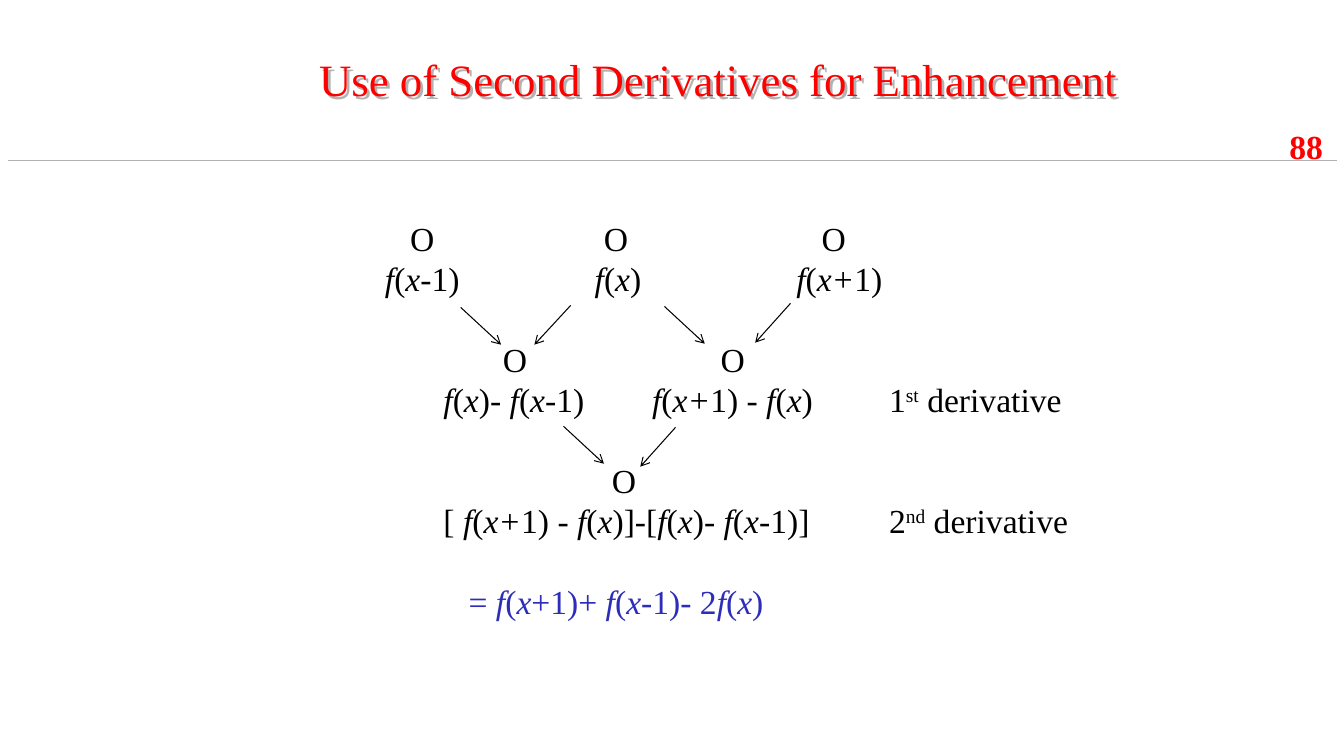
from lxml.etree import SubElement
from pptx import Presentation
from pptx.dml.color import RGBColor
from pptx.enum.shapes import MSO_CONNECTOR
from pptx.enum.text import MSO_ANCHOR as Anchor, MSO_AUTO_SIZE as AutoSize, PP_ALIGN as Align
from pptx.oxml.ns import qn
from pptx.util import Pt

PX = 9144
FONT = "Times New Roman"
RED = RGBColor(0xFF, 0x00, 0x00)
BLACK = RGBColor(0x00, 0x00, 0x00)
BLUE = RGBColor(0x2D, 0x2D, 0xB9)
GRAY = RGBColor(0xB2, 0xB2, 0xB2)

# Each row: text (*italic*, ^superscript^), tab stops, lines skipped above, colour
DERIVATION = [
    ("\tO\tO\tO", [25, 217, 433], 0, BLACK),
    ("*f*(*x*-1)\t*f*(*x*)\t*f*(*x+*1)", [208, 408], 0, BLACK),
    ("\tO\tO", [117, 333], 1, BLACK),
    ("\t*f*(*x*)-* f*(*x*-1)\t*f*(*x+*1) -* f*(*x*)\t1^st^ derivative", [58, 265, 500], 0, BLACK),
    ("\tO", [225], 1, BLACK),
    ("\t[* f*(*x+*1) -* f*(*x*)]-[*f*(*x*)-* f*(*x*-1)]\t2^nd^ derivative", [58, 500], 0, BLACK),
    ("\t=* f*(*x*+1)+* f*(*x*-1)- 2*f*(*x*)", [83], 1, BLUE),
]
ARROWS = [
    (457, 305, 497, 342),
    (659, 304, 699, 341),
    (559, 423, 599, 460),
    (784, 301, 749, 340),
    (566, 303, 530, 342),
    (670, 424, 635, 463),
]


def place(shape, left, top, width, height):
    """Position a shape, with lengths in px."""
    shape.left, shape.top = left * PX, top * PX
    shape.width, shape.height = width * PX, height * PX


def add_box(slide, left, top, width, height):
    """Add a text box, with lengths in px."""
    return slide.shapes.add_textbox(left * PX, top * PX, width * PX, height * PX)


def add_span(para, text, size, color, bold=False, italic=False):
    """Add one formatted run."""
    span = para.add_run()
    span.text = text
    font = span.font
    font.name, font.size, font.bold, font.italic = FONT, Pt(size), bold, italic
    font.color.rgb = color
    return span


def set_spacing(para, size, skipped=0):
    """Set a fixed line pitch and the number of lines skipped above."""
    para.line_spacing = Pt(size * 1.2)
    para.space_before = Pt(size * 1.2 * skipped)
    para.space_after = Pt(0)


def add_label(shape, text, size, bold=False, align=Align.LEFT):
    """Write one unwrapped red line into a shape."""
    frame = shape.text_frame
    frame.word_wrap = False
    frame.auto_size = AutoSize.NONE
    frame.vertical_anchor = Anchor.MIDDLE
    para = frame.paragraphs[0]
    para.alignment = align
    set_spacing(para, size)
    add_span(para, text, size, RED, bold)


def add_shadow(shape):
    """Give the text of an unfilled shape a gray drop shadow."""
    shape.fill.background()
    effects = SubElement(shape._element.spPr, qn("a:effectLst"))
    shadow = SubElement(effects, qn("a:outerShdw"), dist="35921", dir="2700000")
    SubElement(shadow, qn("a:srgbClr"), val=str(GRAY))


def set_tabs(para, stops):
    """Set left tab stops in px."""
    tabs = SubElement(para._p.get_or_add_pPr(), qn("a:tabLst"))
    for stop in stops:
        SubElement(tabs, qn("a:tab"), pos=str(stop * PX), algn="l")


def add_formula(para, text, stops, skipped, color):
    """Write one row of the derivation, run by run."""
    set_spacing(para, 24, skipped)
    set_tabs(para, stops)
    for index, piece in enumerate(text.split("*")):
        for level, part in enumerate(piece.split("^")):
            if part:
                span = add_span(para, part, 24, color, italic=index % 2 == 1)
                if level % 2:
                    span.font._element.set("baseline", "30000")


def add_line(slide, ends, color, weight, arrow=False):
    """Draw a straight line, with an optional arrowhead at its end."""
    line = slide.shapes.add_connector(MSO_CONNECTOR.STRAIGHT, *(end * PX for end in ends))
    line.line.color.rgb = color
    line.line.width = Pt(weight)
    if arrow:
        SubElement(line.line._get_or_add_ln(), qn("a:tailEnd"), type="arrow")
    SubElement(line._element.spPr, qn("a:effectLst"))


def main():
    """Build the derivative slide."""
    deck = Presentation()
    deck.slide_width, deck.slide_height = 1333 * PX, 750 * PX
    slide = deck.slides.add_slide(deck.slide_layouts[5])

    add_line(slide, (1326, 159, 8, 159), GRAY, 0.25)
    add_label(add_box(slide, 1269, 120, 59, 50), "88", 24, bold=True)

    title = slide.shapes.title
    place(title, 303, 46, 819, 64)
    add_label(title, "Use of Second Derivatives for Enhancement", 32, align=Align.CENTER)
    add_shadow(title)

    frame = add_box(slide, 372, 211, 746, 414).text_frame
    frame.word_wrap = True
    for index, row in enumerate(DERIVATION):
        para = frame.add_paragraph() if index else frame.paragraphs[0]
        add_formula(para, *row)

    for ends in ARROWS:
        add_line(slide, ends, BLACK, 0.75, arrow=True)
    deck.save("out.pptx")


if __name__ == "__main__":
    main()
